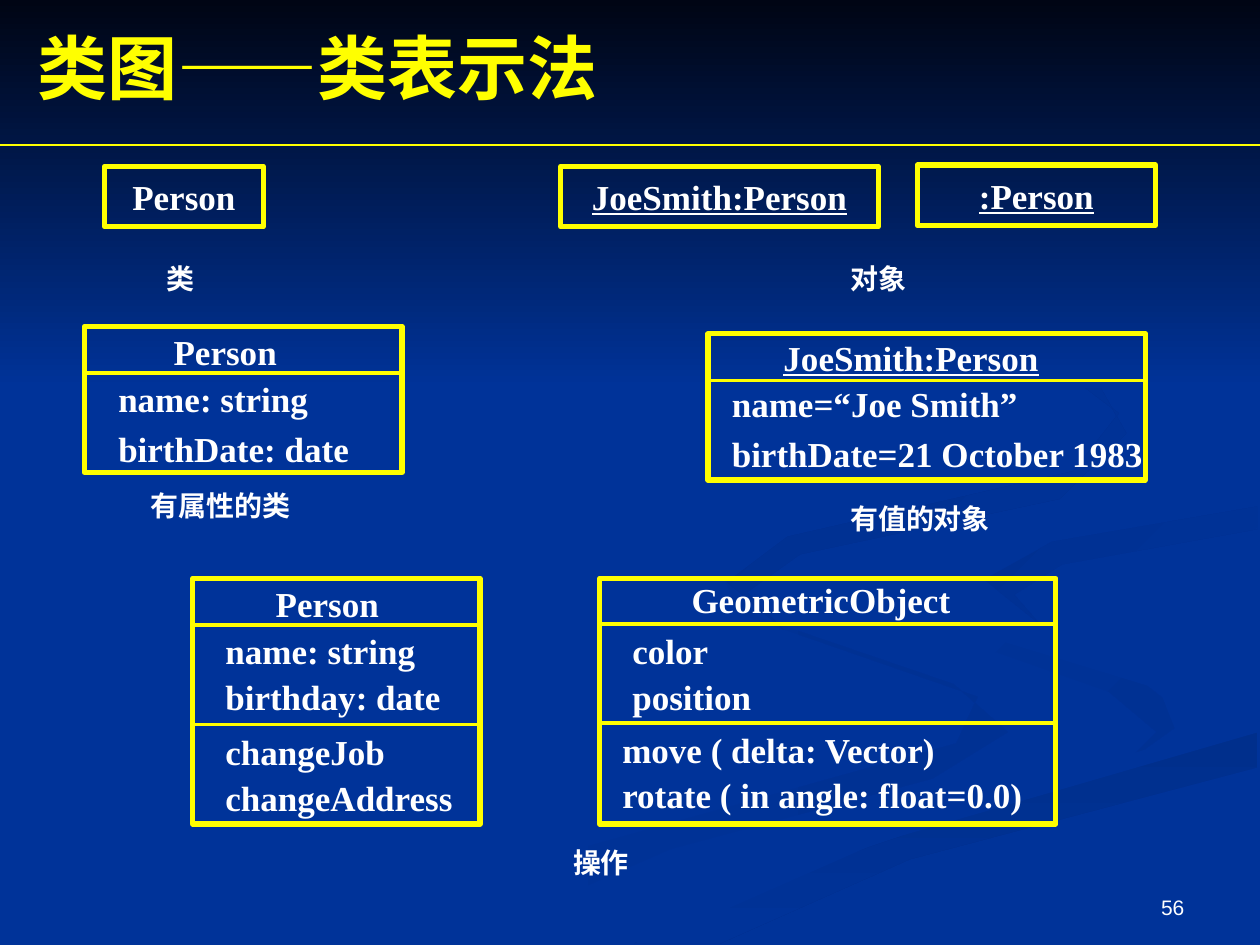
from lxml import etree
from pptx import Presentation
from pptx.dml.color import RGBColor
from pptx.enum.shapes import MSO_CONNECTOR, MSO_SHAPE
from pptx.enum.text import MSO_ANCHOR, MSO_AUTO_SIZE, PP_ALIGN
from pptx.oxml.ns import qn
from pptx.util import Inches, Pt

YELLOW, WHITE, BLUE = "FFFF00", "FFFFFF", "003399"
SERIF, SANS = "Times New Roman", "Arial"
NAME = {"name": SERIF, "size": Pt(20), "bold": True}
CAPTION = {**NAME, "size": Pt(16)}

# Each ribbon: gradient start, gradient end, angle, outline in inches
RIBBONS = [
    (BLUE, "003193", 0, [(5.75, 4.59), (6.02, 4.9), (7.57, 5.43), (8, 5.81), (7.4, 6.18),
                         (5.32, 6.74), (3.61, 7.49), (3, 7.49), (4.58, 6.74),
                         (7.59, 5.9), (7.76, 5.53), (5.86, 4.87)]),
    (BLUE, "003193", 45, [(7.24, 4.64), (7.58, 4.98), (9.05, 5.4), (9.43, 5.7),
                          (8.94, 6.05), (9.18, 5.81), (8.8, 5.49), (7.55, 5.05)]),
    ("002F8C", BLUE, 90, [(5.03, 7.49), (5.71, 7.49), (7.22, 6.82), (9.98, 6.09),
                          (9.98, 5.81), (7.64, 6.47), (6.3, 6.93)]),
    (BLUE, BLUE, 0, [(7.25, 4.64), (7.59, 4.98), (9.2, 5.47), (9.36, 5.87), (7.04, 6.55),
                     (4.77, 7.49), (5.19, 7.47), (6.96, 6.69), (9.99, 5.81), (9.99, 5.38),
                     (8.32, 4.98), (7.82, 4.6), (8.35, 4.3), (9.99, 4.02), (9.99, 3.87),
                     (7.7, 4.27)]),
    ("003091", BLUE, 45, [(7.81, 4.6), (8.26, 4.96), (8.05, 4.72), (8.43, 4.48),
                          (9.98, 4.2), (9.98, 4.02), (8.35, 4.3)]),
    ("002F8E", BLUE, 45, [(7.62, 2.33), (8.64, 2.91), (8.94, 3.44), (8.41, 3.96),
                          (6.35, 4.4), (5.93, 4.7), (6.22, 5), (5.77, 4.62), (6.25, 4.26),
                          (8.52, 3.74), (8.88, 3.28)]),
]


def rgb(value):
    return RGBColor.from_string(value)


def inches(*values):
    return [Inches(value) for value in values]


def apply_format(target, values):
    for key, value in values.items():
        setattr(target, key, value)


def fill_gradient(shape, start, end, angle):
    shape.shadow.inherit = False
    shape.line.fill.background()
    shape.fill.gradient()
    shape.fill.gradient_angle = (360 - angle) % 360
    for stop, colour in zip(shape.fill.gradient_stops, (start, end)):
        stop.color.rgb = rgb(colour)


def add_background(page):
    page.background.fill.solid()
    page.background.fill.fore_color.rgb = rgb(BLUE)
    for start, end, angle, outline in RIBBONS:
        points = [inches(*point) for point in outline]
        builder = page.shapes.build_freeform(*points[0])
        builder.add_line_segments(points[1:], close=True)
        fill_gradient(builder.convert_to_shape(), start, end, angle)
    band = page.shapes.add_shape(MSO_SHAPE.RECTANGLE, *inches(0, 0, 10, 3.08))
    fill_gradient(band, "000514", BLUE, 90)


def write_span(para, text, font, colour=WHITE):
    span = para.add_run()
    span.text = text
    apply_format(span.font, font)
    span.font.color.rgb = rgb(colour)


def add_text(page, box, lines, font, gap=0, align=PP_ALIGN.LEFT, anchor=MSO_ANCHOR.TOP):
    frame = page.shapes.add_textbox(*inches(*box)).text_frame
    apply_format(frame, {"word_wrap": True, "margin_right": 0, "vertical_anchor": anchor})
    for index, line in enumerate(lines):
        para = frame.add_paragraph() if index else frame.paragraphs[0]
        para.alignment = align
        if index:
            para.space_before = Pt(gap)
        write_span(para, line, font)


def add_rule(page, left, top, width, weight):
    rule = page.shapes.add_connector(
        MSO_CONNECTOR.STRAIGHT, *inches(left, top, left + width, top))
    rule.line.color.rgb = rgb(YELLOW)
    rule.line.width = Pt(weight)
    etree.SubElement(rule.element.spPr, qn("a:effectLst"))


def add_frame(page, box):
    frame = page.shapes.add_shape(MSO_SHAPE.RECTANGLE, *inches(*box))
    frame.shadow.inherit = False
    frame.fill.background()
    frame.line.color.rgb = rgb(YELLOW)
    frame.line.width = Pt(3)
    return frame


def add_title(page, box):
    title = page.shapes.title
    title.element.getparent().append(title.element)  # in front of the background
    left, top, width, height = inches(*box)
    apply_format(title, {"left": left, "top": top, "width": width, "height": height})
    apply_format(title.text_frame, {"auto_size": MSO_AUTO_SIZE.NONE,
                                    "vertical_anchor": MSO_ANCHOR.MIDDLE})
    para = title.text_frame.paragraphs[0]
    para.alignment = PP_ALIGN.LEFT
    for text, face in (("类图", SERIF), ("——", SANS), ("类表示法", SERIF)):
        write_span(para, text, {"name": face, "size": Pt(40), "bold": True}, YELLOW)


def add_name_box(page, box, text, underline):
    frame = add_frame(page, box)
    frame.text_frame.word_wrap = False
    frame.text_frame.vertical_anchor = MSO_ANCHOR.MIDDLE
    para = frame.text_frame.paragraphs[0]
    para.alignment = PP_ALIGN.CENTER
    write_span(para, text, {**NAME, "underline": underline})


def add_class_box(page, box, dividers, heading, sections, gap, underline=False):
    """Offsets in dividers, heading and sections count from the box corner."""
    left, top, width, _ = box
    add_frame(page, box)
    for offset in dividers:
        add_rule(page, left, top + offset, width, 2.25)
    across, down, text = heading
    add_text(page, (left + across, top + down, 2.3, 0.43), [text],
             {**NAME, "underline": underline})
    for across, down, lines in sections:
        add_text(page, (left + across, top + down, width, 0.8), lines, NAME, gap)


def build_slide(deck):
    page = deck.slides.add_slide(deck.slide_layouts[5])
    add_background(page)
    add_text(page, (7.17, 6.83, 2.23, 0.52), ["56"], {"name": SANS, "size": Pt(12)},
             align=PP_ALIGN.RIGHT, anchor=MSO_ANCHOR.BOTTOM)
    add_title(page, (0.2, 0.14, 9, 0.77))
    add_rule(page, 0, 1.15, 10, 0.75)

    add_name_box(page, (0.83, 1.32, 1.26, 0.48), "Person", False)
    add_name_box(page, (4.45, 1.32, 2.52, 0.48), "JoeSmith:Person", True)
    add_name_box(page, (7.28, 1.31, 1.89, 0.48), ":Person", True)

    add_class_box(page, (0.67, 2.59, 2.52, 1.16), [0.37], (0.61, -0.02, "Person"),
                  [(0.17, 0.36, ["name: string", "birthDate: date"])], 4.6)
    add_class_box(page, (5.62, 2.65, 3.47, 1.16), [0.37], (0.5, -0.03, "JoeSmith:Person"),
                  [(0.09, 0.34, ["name=“Joe Smith”", "birthDate=21 October 1983"])],
                  4.6, underline=True)
    add_class_box(page, (1.53, 4.59, 2.28, 1.95), [0.37, 1.16], (0.56, -0.02, "Person"),
                  [(0.16, 0.36, ["name: string", "birthday: date"]),
                   (0.16, 1.16, ["changeJob", "changeAddress"])], 2)
    add_class_box(page, (4.76, 4.59, 3.62, 1.95), [0.36, 1.15],
                  (0.63, -0.05, "GeometricObject"),
                  [(0.16, 0.36, ["color", "position"]),
                   (0.08, 1.14, ["move ( delta: Vector)", "rotate ( in angle: float=0.0)"])], 2)

    for left, top, text in ((1.22, 2.03, "类"), (6.65, 2.03, "对象"), (1.1, 3.83, "有属性的类"),
                            (6.65, 3.93, "有值的对象"), (4.45, 6.66, "操作")):
        add_text(page, (left, top, 0.25 + 0.23 * len(text), 0.37), [text], CAPTION)


def main():
    deck = Presentation()
    deck.slide_width, deck.slide_height = inches(10, 7.5)
    build_slide(deck)
    deck.save("out.pptx")


if __name__ == "__main__":
    main()
